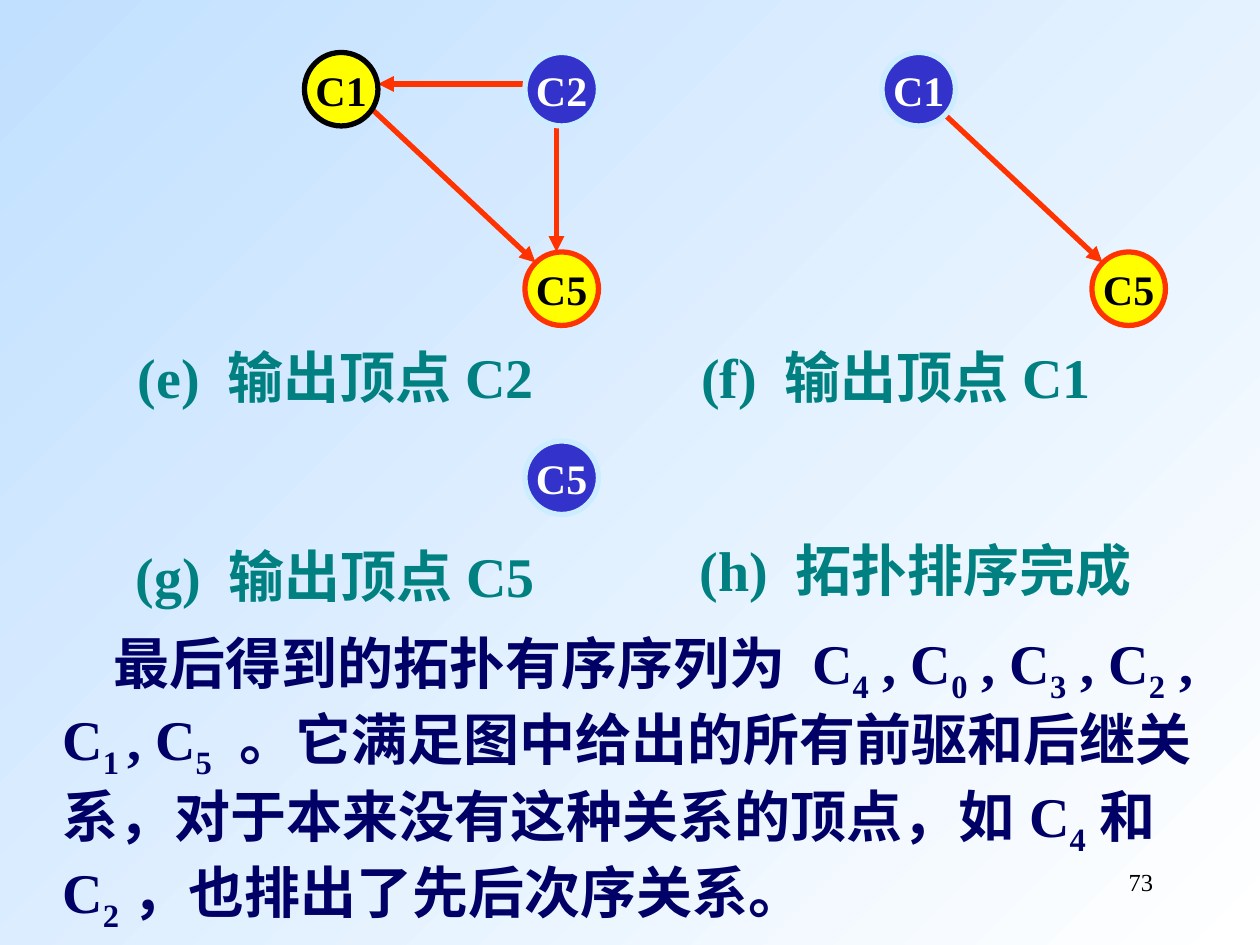
"""Build the slide on the last steps of a topological sort."""
from lxml import etree
from pptx import Presentation
from pptx.dml.color import RGBColor
from pptx.enum.shapes import MSO_CONNECTOR, MSO_SHAPE
from pptx.enum.text import MSO_ANCHOR, MSO_AUTO_SIZE, PP_ALIGN
from pptx.oxml.ns import qn
from pptx.util import Pt

LINE = MSO_CONNECTOR.STRAIGHT
OVAL = MSO_SHAPE.OVAL
MIDDLE = MSO_ANCHOR.MIDDLE
GROW = MSO_AUTO_SIZE.SHAPE_TO_FIT_TEXT
LEFT, CENTER, RIGHT = PP_ALIGN.LEFT, PP_ALIGN.CENTER, PP_ALIGN.RIGHT


def tint(code):
    return RGBColor.from_string(code)


def write(frame, parts, size, code, bold=True, align=LEFT):
    para = frame.paragraphs[0]
    para.alignment = align
    form = {"name": "Times New Roman", "size": Pt(size), "bold": bold}
    for spot, part in enumerate(parts):
        run = para.add_run()
        run.text = part
        for key, value in form.items():
            setattr(run.font, key, value)
        run.font.color.rgb = tint(code)
        if spot % 2:
            run._r.get_or_add_rPr().set("baseline", "-25000")


deck = Presentation()
deck.slide_width, deck.slide_height = Pt(720), Pt(540)
slide = deck.slides.add_slide(deck.slide_layouts[6])
shapes = slide.shapes

back = slide.background.fill
back.gradient()
back.gradient_angle = 315
for stop, code in zip(back.gradient_stops, ("C1E0FF", "FFFFFF")):
    stop.color.rgb = tint(code)

number = shapes.add_textbox(Pt(516), Pt(492), Pt(150), Pt(36)).text_frame
number.word_wrap = True
write(number, ["73"], 14, "000000", False, RIGHT)

arrows = [
    (534, 60, 630, 150),
    (300, 48, 216, 48),
    (318, 72, 318, 144),
    (210, 60, 306, 150),
]
for ends in arrows:
    arrow = shapes.add_connector(LINE, *map(Pt, ends))
    arrow.line.width = Pt(3)
    arrow.line.color.rgb = tint("FF3300")
    tip = etree.SubElement(arrow.line._get_or_add_ln(), qn("a:tailEnd"))
    tip.set("type", "triangle")
    etree.SubElement(arrow._element.spPr, qn("a:effectLst"))

styles = {
    "first": ("FFFF00", "000000", "000000"),
    "output": ("3333CC", "CCECFF", "FFFFFF"),
    "next": ("FFFF00", "FF3300", "000000"),
}
nodes = [
    ("C1", 174, 30, "first"),
    ("C2", 300, 30, "output"),
    ("C5", 300, 144, "next"),
    ("C5", 624, 144, "next"),
    ("C1", 504, 30, "output"),
    ("C5", 300, 252, "output"),
]
for name, left, top, style in nodes:
    fill, edge, ink = styles[style]
    node = shapes.add_shape(OVAL, Pt(left), Pt(top), Pt(42), Pt(42))
    node.shadow.inherit = False
    node.fill.solid()
    node.fill.fore_color.rgb = tint(fill)
    node.line.color.rgb = tint(edge)
    node.line.width = Pt(3)
    node.text_frame.word_wrap = False
    node.text_frame.vertical_anchor = MIDDLE
    write(node.text_frame, [name], 24, ink, align=CENTER)

labels = [
    ("(e) 输出顶点C2", 71.6, 192, 240.5),
    ("(f) 输出顶点C1", 393.6, 192, 237),
    ("(g) 输出顶点C5", 70.5, 306, 243),
    ("(h) 拓扑排序完成", 392.6, 302.5, 261.5),
]
for text, left, top, width in labels:
    label = shapes.add_textbox(Pt(left), Pt(top), Pt(width), Pt(46)).text_frame
    label.word_wrap = False
    label.auto_size = GROW
    write(label, [text], 32, "008080")

result = shapes.add_textbox(Pt(28.6), Pt(355.4), Pt(685), Pt(182)).text_frame
result.word_wrap = True
result.auto_size = GROW
indent = result.paragraphs[0]._p.get_or_add_pPr()
indent.set("marL", "0")
indent.set("indent", str(Pt(29)))
parts = [
    "最后得到的拓扑有序序列为 C", "4", " , C", "0", " , C", "3", " , C", "2",
    " , C", "1 ", ", C", "5",
    " 。它满足图中给出的所有前驱和后继关系，对于本来没有这种关系的顶点，如C", "4",
    "和C", "2", "，也排出了先后次序关系。",
]
write(result, parts, 32, "000066")

deck.save("out.pptx")
